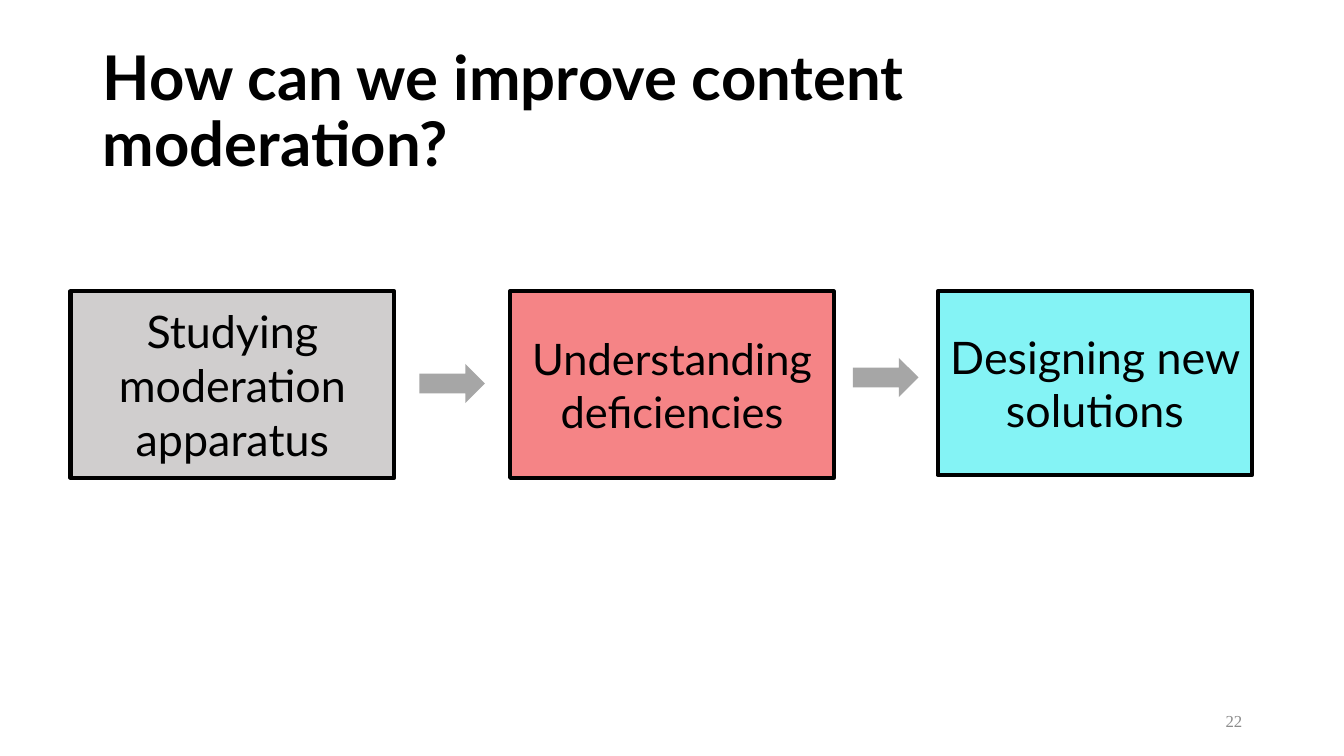
"""Build a slide showing three steps towards better content moderation."""
from pptx import Presentation
from pptx.dml.color import RGBColor
from pptx.enum.shapes import MSO_SHAPE
from pptx.enum.text import MSO_ANCHOR, PP_ALIGN
from pptx.util import Inches, Pt

BLACK = RGBColor(0x00, 0x00, 0x00)
GRAY = RGBColor(0xD0, 0xCE, 0xCE)
RED = RGBColor(0xF5, 0x84, 0x86)
CYAN = RGBColor(0x84, 0xF3, 0xF5)
ARROW_GRAY = RGBColor(0xA6, 0xA6, 0xA6)
NUMBER_GRAY = RGBColor(0x8C, 0x8C, 0x8C)


def write_text(shape, text, size, color, alignment, font_name="Lato", bold=False):
    """Fill a shape with one formatted, vertically centred paragraph."""
    frame = shape.text_frame
    frame.word_wrap = True
    frame.vertical_anchor = MSO_ANCHOR.MIDDLE
    frame.text = text
    paragraph = frame.paragraphs[0]
    paragraph.alignment = alignment
    paragraph.font.name = font_name
    paragraph.font.size = Pt(size)
    paragraph.font.bold = bold
    paragraph.font.color.rgb = color
    return frame


presentation = Presentation()
presentation.slide_width = Inches(13.33)
presentation.slide_height = Inches(7.5)
slide = presentation.slides.add_slide(presentation.slide_layouts[5])

title = slide.shapes.title
title.left, title.top = Inches(0.92), Inches(0.4)
title.width, title.height = Inches(11.5), Inches(1.45)
title_frame = write_text(title, "How can we improve content moderation?", 44, BLACK,
                         PP_ALIGN.LEFT, bold=True)
title_frame.paragraphs[0].line_spacing = 0.9

number_box = slide.shapes.add_textbox(Inches(9.42), Inches(6.95), Inches(3), Inches(0.4))
write_text(number_box, "22", 12, NUMBER_GRAY, PP_ALIGN.RIGHT, "Times New Roman")

steps = [
    ("Studying moderation apparatus", 0.7, 3.21, 1.85, GRAY, 32, 0.1),
    ("Understanding deficiencies", 5.06, 3.21, 1.85, RED, 31, 0.1),
    ("Designing new solutions", 9.3, 3.12, 1.82, CYAN, 32, 0.05),
]
for text, left, width, height, color, size, side_margin in steps:
    box = slide.shapes.add_shape(MSO_SHAPE.RECTANGLE, Inches(left), Inches(2.89),
                                 Inches(width), Inches(height))
    box.shadow.inherit = False
    box.fill.solid()
    box.fill.fore_color.rgb = color
    box.line.color.rgb = BLACK
    box.line.width = Pt(3)
    frame = write_text(box, text, size, BLACK, PP_ALIGN.CENTER)
    frame.margin_left = frame.margin_right = Inches(side_margin)

for left, top in [(4.16, 3.61), (8.46, 3.55)]:
    arrow = slide.shapes.add_shape(MSO_SHAPE.RIGHT_ARROW, Inches(left), Inches(top),
                                   Inches(0.65), Inches(0.39))
    arrow.shadow.inherit = False
    arrow.fill.solid()
    arrow.fill.fore_color.rgb = ARROW_GRAY
    arrow.line.fill.background()

presentation.save("out.pptx")
